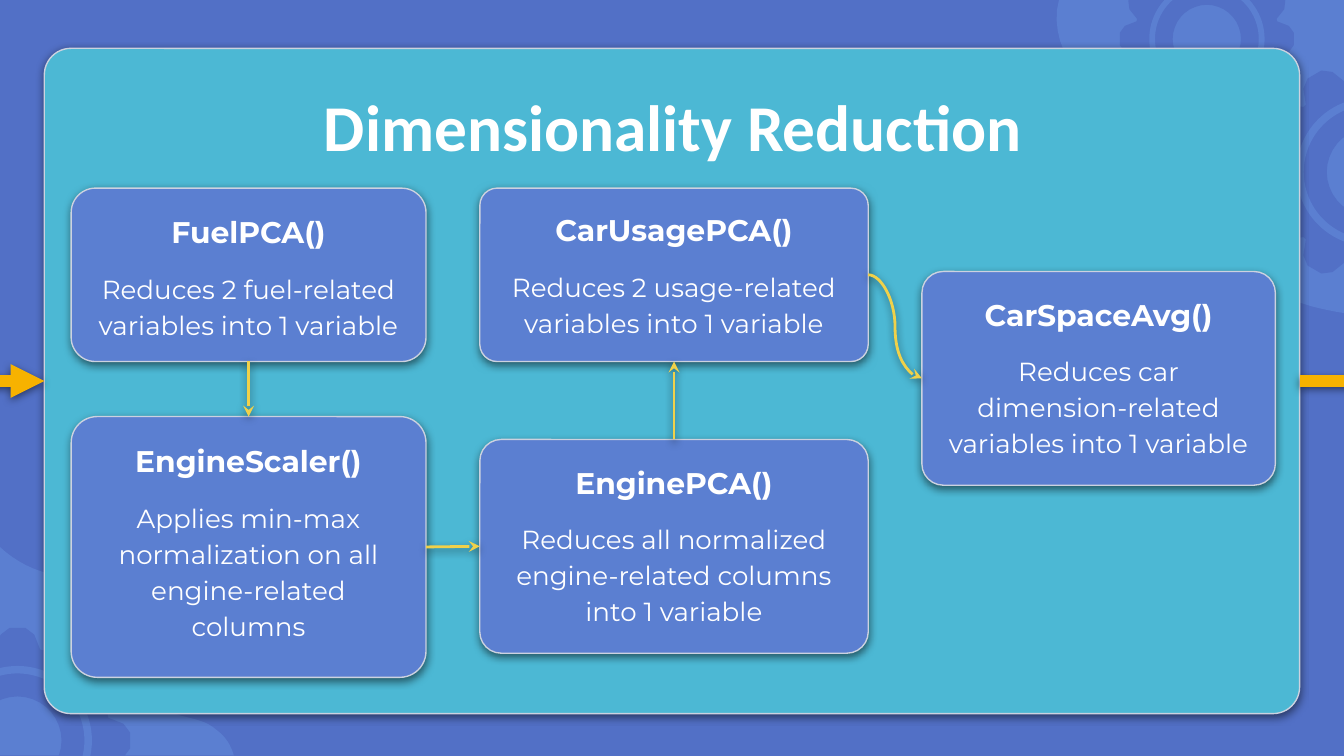
from math import cos, radians, sin

from lxml.etree import SubElement
from pptx import Presentation
from pptx.dml.color import RGBColor
from pptx.enum.shapes import MSO_CONNECTOR, MSO_SHAPE
from pptx.enum.text import MSO_ANCHOR, PP_ALIGN
from pptx.oxml.ns import qn
from pptx.util import Inches, Pt

COLORS = {
    "background": "5270C6",
    "accent": "5B7FD1",
    "panel": "4CB8D4",
    "border": "CCD2E0",
    "text": "FFFFFF",
    "arrow": "F0D14A",
    "flow": "F7B200",
    "shadow": "000000",
}

TOP_BLOB = [
    (7.88, 0),
    [(7.81, 0.25), (7.95, 0.52), (8.15, 0.68)],
    [(8.36, 0.86), (8.62, 0.95), (8.87, 1.06)],
    [(9.01, 1.13), (9.17, 1.23), (9.18, 1.39)],
    [(9.19, 1.52), (9.09, 1.64), (9.09, 1.77)],
    [(9.09, 1.95), (9.26, 2.08), (9.42, 2.15)],
    [(9.6, 2.24), (9.8, 2.3), (10, 2.33)],
]
BOTTOM_BLOB = [
    (1.74, 5.62),
    [(1.72, 5.55), (1.68, 5.48), (1.61, 5.43)],
    [(1.52, 5.35), (1.41, 5.35), (1.3, 5.31)],
    [(1.19, 5.27), (1.08, 5.19), (1.05, 5.08)],
    [(1, 4.97), (1.03, 4.83), (1.07, 4.72)],
    [(1.12, 4.6), (1.16, 4.47), (1.1, 4.37)],
    [(1.05, 4.28), (0.97, 4.26), (0.87, 4.26)],
    [(0.76, 4.26), (0.67, 4.28), (0.55, 4.29)],
    [(0.33, 4.29), (0.14, 4.2), (0, 4.07)],
]

# Angle from the tooth's middle in degrees, and share of the gear's radius
TOOTH = [(-14, 0.83), (-9, 0.95), (-4, 1), (4, 1), (9, 0.95), (14, 0.83)]

# name: left, top, width, height, corner, description
STEPS = {
    "FuelPCA()": (0.53, 1.4, 2.64, 1.29, 0.14,
                  "Reduces 2 fuel-related variables into 1 variable"),
    "EngineScaler()": (0.53, 3.1, 2.64, 1.94, 0.1,
                       "Applies min-max normalization on all engine-related columns"),
    "EnginePCA()": (3.57, 3.27, 2.89, 1.59, 0.1,
                    "Reduces all normalized engine-related columns into 1 variable"),
    "CarUsagePCA()": (3.57, 1.4, 2.89, 1.29, 0.1,
                      "Reduces 2 usage-related variables into 1 variable"),
    "CarSpaceAvg()": (6.86, 2.02, 2.63, 1.59, 0.1,
                      "Reduces car dimension-related variables into 1 variable"),
}
TOP, LEFT, BOTTOM, RIGHT = range(4)
UNITS_PER_INCH = 1000


def color(name):
    return RGBColor.from_string(COLORS[name])


def fill_flat(shape, fill):
    shape.shadow.inherit = False
    shape.fill.solid()
    shape.fill.fore_color.rgb = color(fill)
    shape.line.fill.background()


def add_shadow(shape):
    properties = shape._element.spPr
    for old in properties.findall(qn("a:effectLst")):
        properties.remove(old)
    effects = SubElement(properties, qn("a:effectLst"))
    shadow = SubElement(effects, qn("a:outerShdw"), blurRad=str(Pt(4.5)),
                        dist=str(Pt(1.5)), dir="5400000", algn="bl", rotWithShape="0")
    tint = SubElement(shadow, qn("a:srgbClr"), val=COLORS["shadow"])
    SubElement(tint, qn("a:alpha"), val="50000")


def add_outline(page, contours, fill):
    """Draw closed contours, given in inches, as one filled freeform."""
    first, *others = [
        [(round(x * UNITS_PER_INCH), round(y * UNITS_PER_INCH)) for x, y in contour]
        for contour in contours]
    builder = page.shapes.build_freeform(*first[0], scale=Inches(1) / UNITS_PER_INCH)
    builder.add_line_segments(first[1:], close=True)
    for contour in others:
        builder.move_to(*contour[0])
        builder.add_line_segments(contour[1:], close=True)
    fill_flat(builder.convert_to_shape(), fill)


def curve_points(start, curves, steps=10):
    """Sample a chain of cubic Bezier curves."""
    points = [start]
    for curve in curves:
        controls = [points[-1], *curve]
        for step in range(1, steps + 1):
            t = step / steps
            weights = ((1 - t) ** 3, 3 * t * (1 - t) ** 2, 3 * t**2 * (1 - t), t**3)
            points.append(tuple(
                sum(weight * control[axis] for weight, control in zip(weights, controls))
                for axis in (0, 1)))
    return points


def add_blob(page, outline, corner):
    start, *curves = outline
    add_outline(page, [curve_points(start, curves) + [corner]], "accent")


def add_gear(page, x, y, radius):
    def polar(angle, share):
        return (x + radius * share * sin(radians(angle)),
                y - radius * share * cos(radians(angle)))

    teeth = [polar(middle + angle, share)
             for middle in range(0, 360, 30) for angle, share in TOOTH]
    hole = [polar(angle, 0.39) for angle in range(360, 0, -10)]
    add_outline(page, [teeth, hole], "background")
    ring_radius = radius * 0.66
    ring = page.shapes.add_shape(
        MSO_SHAPE.DONUT, Inches(x - ring_radius), Inches(y - ring_radius),
        Inches(2 * ring_radius), Inches(2 * ring_radius))
    ring.adjustments[0] = 0.05
    fill_flat(ring, "accent")


def add_card(page, left, top, width, height, corner, fill):
    card = page.shapes.add_shape(MSO_SHAPE.ROUNDED_RECTANGLE, Inches(left),
                                 Inches(top), Inches(width), Inches(height))
    card.adjustments[0] = corner
    card.fill.solid()
    card.fill.fore_color.rgb = color(fill)
    card.line.color.rgb = color("border")
    card.line.width = Pt(0.75)
    add_shadow(card)
    return card


def set_text(para, text, size, font, bold):
    para.text = text
    para.alignment = PP_ALIGN.CENTER
    para.font.size = Pt(size)
    para.font.name = font
    para.font.bold = bold
    para.font.color.rgb = color("text")


def set_frame(frame):
    frame.word_wrap = True
    frame.vertical_anchor = MSO_ANCHOR.TOP
    frame.margin_left = frame.margin_right = Inches(0.1)
    frame.margin_top = frame.margin_bottom = Inches(0.1)


def add_title(page, text):
    box = page.shapes.add_textbox(Inches(0.53), Inches(0.54), Inches(8.96), Inches(0.79))
    set_frame(box.text_frame)
    set_text(box.text_frame.paragraphs[0], text, 35, "Calibri", True)


def add_step(page, name, left, top, width, height, corner, description):
    card = add_card(page, left, top, width, height, corner, "accent")
    frame = card.text_frame
    set_frame(frame)
    heading, body = frame.paragraphs[0], frame.add_paragraph()
    set_text(heading, name, 16, "Montserrat", True)
    set_text(body, description, 14, "Montserrat", False)
    heading.line_spacing = body.line_spacing = 1.15
    body.space_before = body.space_after = Pt(10)
    return card


def add_arrow(page, begin, end, stroke, width, head, kind=MSO_CONNECTOR.STRAIGHT):
    """Join two ends, each a (shape, side) pair or an (x, y) point in lengths."""
    points = [(0, 0) if hasattr(place, "shape_id") else (place, side)
              for place, side in (begin, end)]
    arrow = page.shapes.add_connector(kind, *points[0], *points[1])
    for (place, side), connect in ((begin, arrow.begin_connect), (end, arrow.end_connect)):
        if hasattr(place, "shape_id"):
            connect(place, side)
    arrow.line.color.rgb = color(stroke)
    arrow.line.width = Pt(width)
    SubElement(arrow.line._get_or_add_ln(), qn("a:tailEnd"), type=head)
    add_shadow(arrow)


def main():
    deck = Presentation()
    deck.slide_width = Inches(10)
    deck.slide_height = deck.slide_width * 9 // 16
    page = deck.slides.add_slide(deck.slide_layouts[6])
    page.background.fill.solid()
    page.background.fill.fore_color.rgb = color("background")

    add_blob(page, TOP_BLOB, (10, 0))
    add_gear(page, 10.2, 1.28, 0.84)
    add_gear(page, 8.98, 0.29, 0.65)
    add_blob(page, BOTTOM_BLOB, (0, 5.62))
    add_gear(page, 0.13, 5.51, 0.84)

    panel = add_card(page, 0.33, 0.36, 9.34, 4.95, 0.04, "panel")
    add_title(page, "Dimensionality Reduction")
    cards = [add_step(page, name, *details) for name, details in STEPS.items()]
    fuel, scaler, engine, usage, space = cards

    for begin, end, kind in (
        ((fuel, BOTTOM), (scaler, TOP), MSO_CONNECTOR.STRAIGHT),
        ((scaler, RIGHT), (engine, LEFT), MSO_CONNECTOR.STRAIGHT),
        ((engine, TOP), (usage, BOTTOM), MSO_CONNECTOR.STRAIGHT),
        ((usage, RIGHT), (space, LEFT), MSO_CONNECTOR.CURVE),
    ):
        add_arrow(page, begin, end, "arrow", 1.5, "stealth", kind)
    middle = panel.top + panel.height // 2
    add_arrow(page, (Inches(-0.31), middle), (panel, LEFT), "flow", 6, "triangle")
    add_arrow(page, (panel, RIGHT), (Inches(10.72), middle), "flow", 6, "triangle")

    deck.save("out.pptx")


if __name__ == "__main__":
    main()
